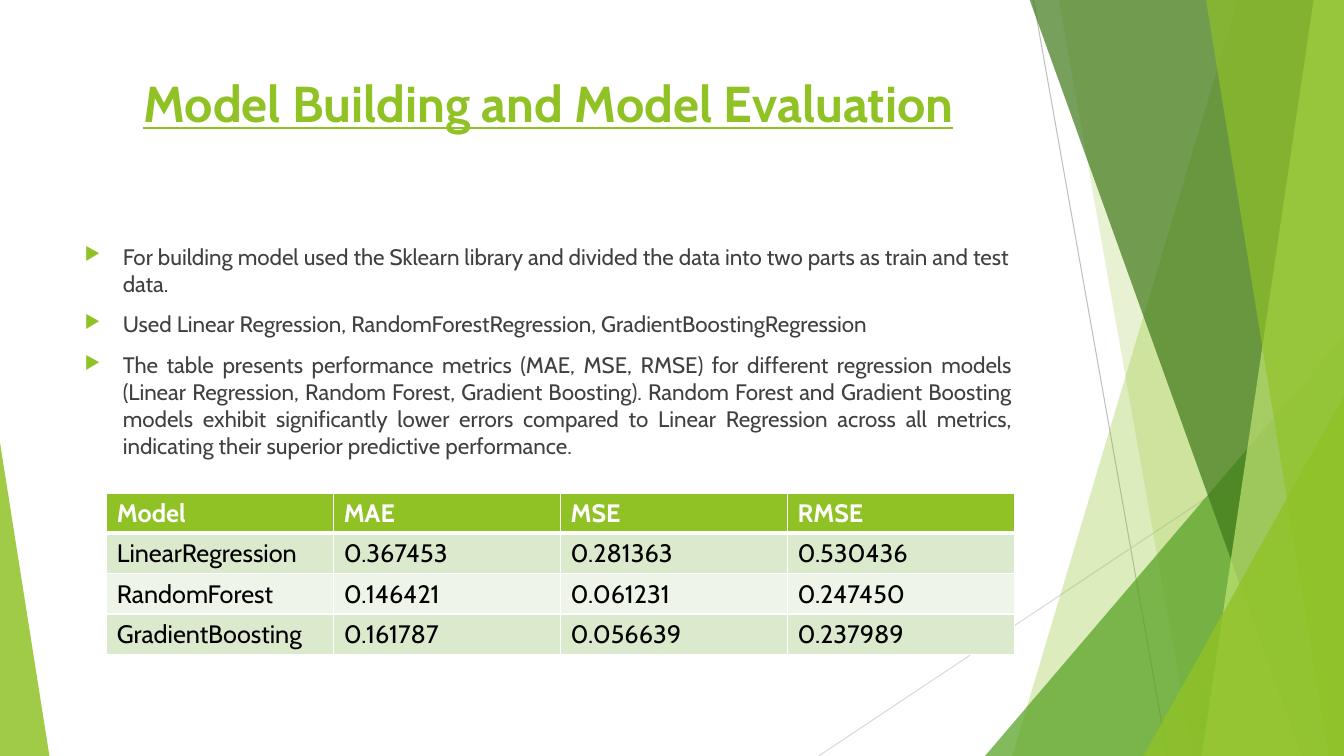
from lxml import etree
from pptx import Presentation
from pptx.dml.color import RGBColor
from pptx.enum.shapes import MSO_CONNECTOR, MSO_SHAPE
from pptx.enum.text import MSO_ANCHOR, PP_ALIGN
from pptx.oxml.ns import qn
from pptx.util import Inches, Pt

STRAIGHT = MSO_CONNECTOR.STRAIGHT
TRIANGLE = MSO_SHAPE.ISOSCELES_TRIANGLE
TOP = MSO_ANCHOR.TOP
LEFT, CENTER, JUSTIFY = PP_ALIGN.LEFT, PP_ALIGN.CENTER, PP_ALIGN.JUSTIFY

WHITE = RGBColor(0xFF, 0xFF, 0xFF)
BLACK = RGBColor(0x00, 0x00, 0x00)
BODY_GRAY = RGBColor(0x40, 0x40, 0x40)
LINE_GRAY = RGBColor(0xBF, 0xBF, 0xBF)
LIGHT_GRAY = RGBColor(0xD9, 0xD9, 0xD9)
GREEN = RGBColor(0x90, 0xC2, 0x26)
MID_GREEN = RGBColor(0x54, 0xA0, 0x21)
DARK_GREEN = RGBColor(0x3F, 0x78, 0x19)
LIME = RGBColor(0xC0, 0xE4, 0x74)
BAND_DARK = RGBColor(0xDB, 0xE9, 0xCD)
BAND_LIGHT = RGBColor(0xEE, 0xF4, 0xE8)

WIDTH, HEIGHT = 13.33, 7.5


class SlideBuilder:
    font = "Cabin"

    def __init__(self, prs):
        self.slide = prs.slides.add_slide(prs.slide_layouts[6])
        self.shapes = self.slide.shapes

    def line(self, x1, y1, x2, y2, color):
        s = self.shapes.add_connector(STRAIGHT, *map(Inches, (x1, y1, x2, y2)))
        s.line.color.rgb = color
        s.line.width = Pt(0.75)
        etree.SubElement(s._element.spPr, qn("a:effectLst"))

    def paint(self, s, color, opacity):
        s.shadow.inherit = False
        s.line.fill.background()
        s.fill.solid()
        s.fill.fore_color.rgb = color
        clr = s._element.spPr.find(qn("a:solidFill")).find(qn("a:srgbClr"))
        etree.SubElement(clr, qn("a:alpha"), val=str(opacity * 1000))

    def ray(self, top_x, bottom_x, color, opacity):
        """A band from a slanted left edge to the right slide edge."""
        fb = self.shapes.build_freeform(Inches(top_x), Inches(-0.01))
        corners = [(WIDTH, -0.01), (WIDTH, HEIGHT), (bottom_x, HEIGHT)]
        fb.add_line_segments([(Inches(x), Inches(y)) for x, y in corners])
        self.paint(fb.convert_to_shape(), color, opacity)

    def triangle(self, x, y, w, apex, color, opacity):
        """A triangle that stands on the bottom slide edge."""
        s = self.shapes.add_shape(
            TRIANGLE, Inches(x), Inches(y), Inches(w), Inches(HEIGHT - y))
        s.adjustments[0] = apex
        self.paint(s, color, opacity)

    def run(self, p, text, color, **fmt):
        r = p.add_run()
        r.text = text
        for name, value in {"name": self.font, **fmt}.items():
            setattr(r.font, name, value)
        r.font.color.rgb = color

    def text(self, x, y, w, h, paragraphs, bullets=False, **fmt):
        tf = self.shapes.add_textbox(*map(Inches, (x, y, w, h))).text_frame
        tf.word_wrap = True
        tf.vertical_anchor = TOP
        for i, (text, align) in enumerate(paragraphs):
            p = tf.paragraphs[0] if i == 0 else tf.add_paragraph()
            p.alignment = align
            if bullets:
                self.bullet(p)
            self.run(p, text, **fmt)

    def bullet(self, p):
        p.space_before = Pt(10)
        pPr = p._p.get_or_add_pPr()
        pPr.set("marL", str(Inches(0.38)))
        pPr.set("indent", str(Inches(-0.38)))
        clr = etree.SubElement(pPr, qn("a:buClr"))
        etree.SubElement(clr, qn("a:srgbClr"), val=str(GREEN))
        etree.SubElement(pPr, qn("a:buSzPct"), val="80000")
        etree.SubElement(pPr, qn("a:buChar"), char="▶")

    def table(self, x, y, col_w, row_h, rows):
        n_rows, n_cols = len(rows), len(rows[0])
        table = self.shapes.add_table(
            n_rows, n_cols, Inches(x), Inches(y),
            Inches(col_w * n_cols), Inches(row_h * n_rows)).table
        for i, row in enumerate(rows):
            head = i == 0
            fill = GREEN if head else (BAND_LIGHT, BAND_DARK)[i % 2]
            for j, text in enumerate(row):
                cell = table.cell(i, j)
                cell.fill.solid()
                cell.fill.fore_color.rgb = fill
                self.borders(cell, top=3 if i == 1 else 1, bottom=3 if head else 1)
                self.run(cell.text_frame.paragraphs[0], text, size=Pt(18),
                         bold=head, color=WHITE if head else BLACK)

    def borders(self, cell, top, bottom):
        tcPr = cell._tc.get_or_add_tcPr()
        sides = [("L", 1), ("R", 1), ("T", top), ("B", bottom)]
        for i, (side, width) in enumerate(sides):
            ln = etree.Element(qn(f"a:ln{side}"), w=str(Pt(width)))
            fill = etree.SubElement(ln, qn("a:solidFill"))
            etree.SubElement(fill, qn("a:srgbClr"), val=str(WHITE))
            tcPr.insert(i, ln)


def main():
    prs = Presentation()
    prs.slide_width, prs.slide_height = Inches(WIDTH), Inches(HEIGHT)
    b = SlideBuilder(prs)

    # Decoration, back to front
    b.line(10.25, 0, 11.58, HEIGHT, LINE_GRAY)
    b.line(WIDTH, 4.03, 8.12, HEIGHT, LIGHT_GRAY)
    b.ray(12.28, 10.04, GREEN, 30)
    b.ray(10.5, 11.83, GREEN, 20)
    b.triangle(9.77, 3.33, 3.56, 1, MID_GREEN, 72)
    b.ray(10.21, 12.91, DARK_GREEN, 70)
    b.ray(13.03, 11.92, LIME, 70)
    b.ray(11.96, 13.18, GREEN, 65)
    b.triangle(11.34, 3.93, 1.99, 1, GREEN, 80)
    b.triangle(0, 4.39, 0.49, 0, GREEN, 85)

    # Title
    b.text(0.74, 0.67, 9.4, 1.44,
           [("Model Building and Model Evaluation", CENTER)],
           size=Pt(36), bold=True, underline=True, color=GREEN)

    # Bullet points
    b.text(0.74, 2.36, 9.4, 4.24, [
        ("For building model used the Sklearn library and divided the data "
         "into two parts as train and test data.", LEFT),
        ("Used Linear Regression, RandomForestRegression, "
         "GradientBoostingRegression", LEFT),
        ("The table presents performance metrics (MAE, MSE, RMSE) for "
         "different regression models (Linear Regression, Random Forest, "
         "Gradient Boosting). Random Forest and Gradient Boosting models "
         "exhibit significantly lower errors compared to Linear Regression "
         "across all metrics, indicating their superior predictive "
         "performance.", JUSTIFY),
    ], bullets=True, size=Pt(16), color=BODY_GRAY)

    # Metrics table
    b.table(1.06, 4.89, 2.25, 0.4, [
        ("Model", "MAE", "MSE", "RMSE"),
        ("LinearRegression", "0.367453", "0.281363", "0.530436"),
        ("RandomForest", "0.146421", "0.061231", "0.247450"),
        ("GradientBoosting", "0.161787", "0.056639", "0.237989"),
    ])

    prs.save("out.pptx")


if __name__ == "__main__":
    main()
